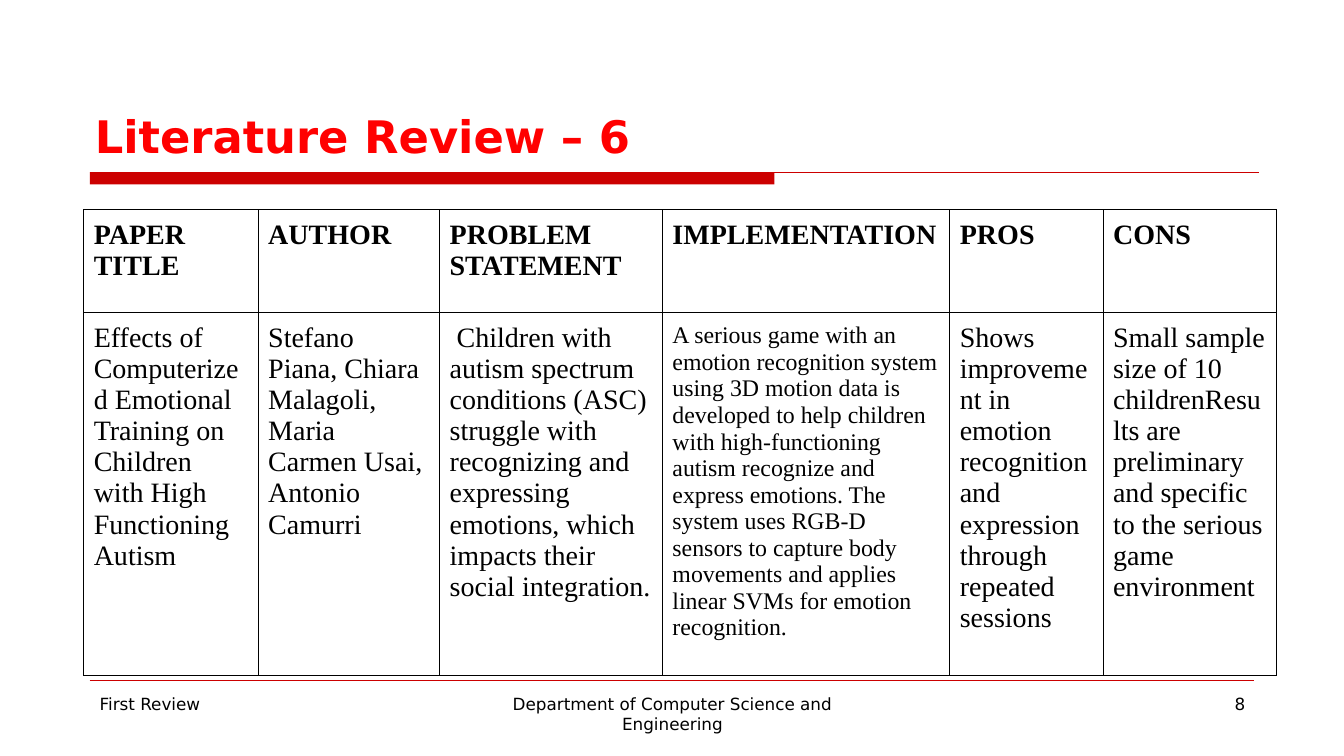
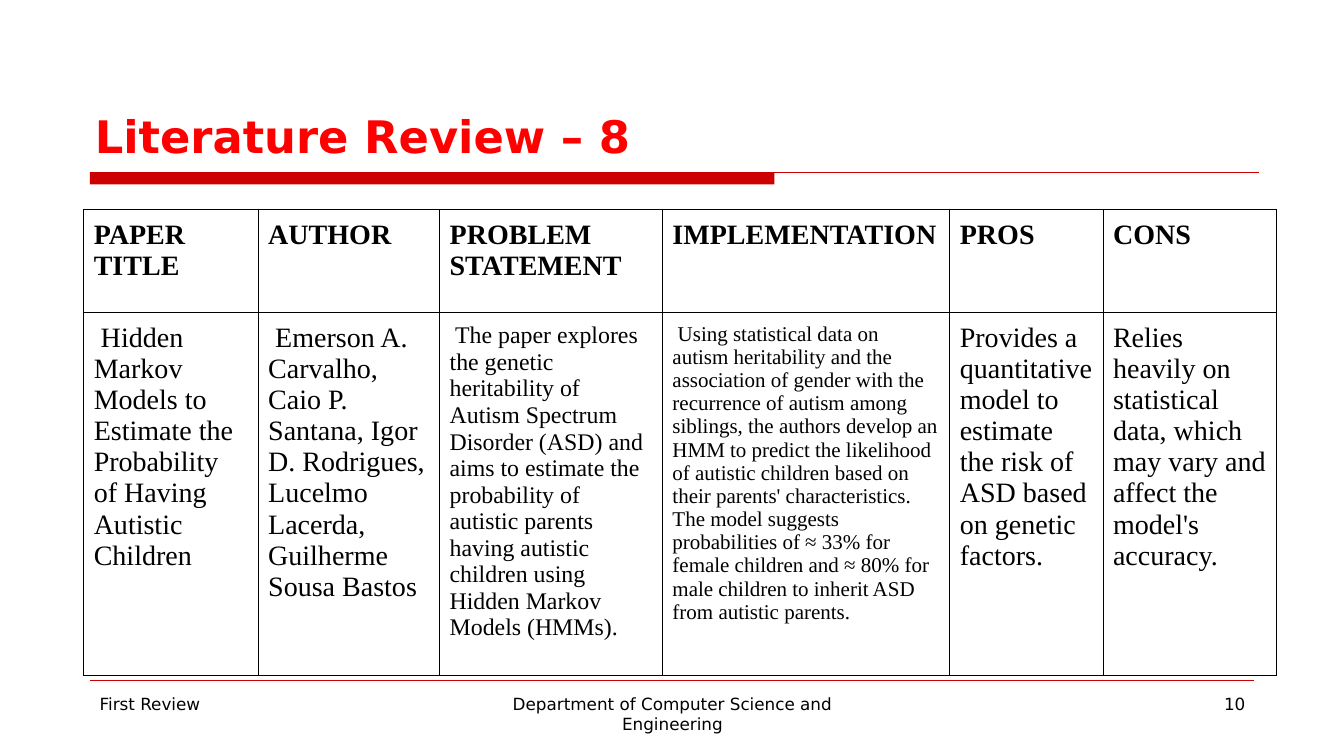
from lxml.etree import SubElement
from pptx import Presentation
from pptx.dml.color import RGBColor
from pptx.enum.shapes import MSO_CONNECTOR, MSO_SHAPE
from pptx.enum.text import MSO_ANCHOR, PP_ALIGN
from pptx.oxml import parse_xml
from pptx.oxml.ns import nsdecls, qn
from pptx.util import Inches, Pt

COLORS = {"title": "FF0000", "band": "CC0000", "text": "000000"}
TITLE_FMT = {"name": "DejaVu Sans", "size": Pt(32), "bold": True}
FOOTER_FMT = {"name": "DejaVu Sans", "size": Pt(12), "bold": False}
HEAD_FMT = {"name": "Times New Roman", "size": Pt(20), "bold": True}
BODY_FMT = {**HEAD_FMT, "bold": False}

MARGIN = 0.89
COL_WIDTHS = (1.73, 1.8, 2.21, 2.85, 1.52, 1.72)
ROW_HEIGHTS = (1.02, 3.48)
HEADERS = ("PAPER\nTITLE", "AUTHOR", "PROBLEM STATEMENT", "IMPLEMENTATION", "PROS", "CONS")
FOOTERS = (
    (MARGIN, 2.89, PP_ALIGN.LEFT),
    (4.56, 4.22, PP_ALIGN.CENTER),
    (9.56, 2.89, PP_ALIGN.RIGHT),
)

REVIEWS = (
    {
        "title": "Literature Review – 6",
        "page": "8",
        "cells": (
            ("Effects of Computerized Emotional Training on Children with High "
             "Functioning Autism", 20),
            ("Stefano Piana, Chiara Malagoli, Maria Carmen Usai, Antonio Camurri", 20),
            (" Children with autism spectrum conditions (ASC) struggle with recognizing "
             "and expressing emotions, which impacts their social integration.", 20),
            ("A serious game with an emotion recognition system using 3D motion data is "
             "developed to help children with high-functioning autism recognize and "
             "express emotions. The system uses RGB-D sensors to capture body movements "
             "and applies linear SVMs for emotion recognition.", 17),
            ("Shows improvement in emotion recognition and expression through repeated "
             "sessions", 20),
            ("Small sample size of 10 childrenResults are preliminary and specific to "
             "the serious game environment", 20),
        ),
    },
    {
        "title": "Literature Review – 8",
        "page": "10",
        "cells": (
            (" Hidden Markov Models to Estimate the Probability of Having Autistic "
             "Children", 20),
            (" Emerson A. Carvalho, Caio P. Santana, Igor D. Rodrigues, Lucelmo Lacerda, "
             "Guilherme Sousa Bastos", 20),
            (" The paper explores the genetic heritability of Autism Spectrum Disorder "
             "(ASD) and aims to estimate the probability of autistic parents having "
             "autistic children using Hidden Markov Models (HMMs).", 17),
            (" Using statistical data on autism heritability and the association of "
             "gender with the recurrence of autism among siblings, the authors develop "
             "an HMM to predict the likelihood of autistic children based on their "
             "parents' characteristics. The model suggests probabilities of ≈ 33% for "
             "female children and ≈ 80% for male children to inherit ASD from autistic "
             "parents.", 15),
            ("Provides a quantitative model to estimate the risk of ASD based on genetic "
             "factors.", 20),
            ("Relies heavily on statistical data, which may vary and affect the model's "
             "accuracy.", 20),
        ),
    },
)


def rgb(key):
    """Return the palette colour named key."""
    return RGBColor.from_string(COLORS[key])


def write(tf, text, fmt, color="text", align=PP_ALIGN.LEFT):
    """Put formatted text into the first paragraph of a text frame."""
    p = tf.paragraphs[0]
    p.text = text
    p.alignment = align
    for r in p.runs:
        for attr, value in fmt.items():
            setattr(r.font, attr, value)
        r.font.color.rgb = rgb(color)


def add_rule(s, y, right, width):
    """Draw a thin horizontal rule from the left margin."""
    cx = s.shapes.add_connector(
        MSO_CONNECTOR.STRAIGHT, Inches(MARGIN), Inches(y), Inches(right), Inches(y))
    cx.line.color.rgb = rgb("band")
    cx.line.width = Pt(width)
    SubElement(cx.element.spPr, qn("a:effectLst"))
    return cx


def add_band(s):
    """Draw the thick band below the title."""
    sp = s.shapes.add_shape(
        MSO_SHAPE.RECTANGLE, Inches(MARGIN), Inches(1.71), Inches(6.79), Inches(0.12))
    sp.shadow.inherit = False
    sp.fill.solid()
    sp.fill.fore_color.rgb = rgb("band")
    sp.line.fill.background()
    return sp


def style_layout(layout, s):
    """Place the title and move the shared decoration to the layout."""
    title = layout.placeholders[0]
    box = {"left": 0.84, "top": 0.33, "width": 11.67, "height": 1.33}
    for attr, value in box.items():
        setattr(title, attr, Inches(value))
    title.text_frame.vertical_anchor = MSO_ANCHOR.BOTTOM
    for sp in (add_band(s), add_rule(s, 1.71, 12.49, 0.75), add_rule(s, 6.75, 12.44, 0.25)):
        layout.shapes.element.append(sp.element)


def add_footers(s, page):
    """Add the three footer texts."""
    texts = ("First Review", "Department of Computer Science and Engineering", page)
    for text, (left, width, align) in zip(texts, FOOTERS):
        tb = s.shapes.add_textbox(Inches(left), Inches(6.83), Inches(width), Inches(0.52))
        tb.text_frame.word_wrap = True
        write(tb.text_frame, text, FOOTER_FMT, align=align)


def set_borders(cell, thick):
    """Outline a cell, with a heavier line on the side named thick."""
    tcPr = cell._tc.get_or_add_tcPr()
    for i, side in enumerate(("lnL", "lnR", "lnT", "lnB")):
        width = Pt(1.5 if side == thick else 0.75)
        tcPr.insert(i, parse_xml(
            f'<a:{side} {nsdecls("a")} w="{width}"><a:solidFill>'
            f'<a:srgbClr val="{COLORS["text"]}"/></a:solidFill></a:{side}>'))


def fill_cell(cell, text, fmt, thick):
    """Write and format one table cell."""
    for side in ("left", "right", "top", "bottom"):
        setattr(cell, f"margin_{side}", Inches(0.1))
    cell.fill.background()
    set_borders(cell, thick)
    write(cell.text_frame, text, fmt)


def add_review_table(s, cells):
    """Add the table with a header row and one reviewed paper."""
    tbl = s.shapes.add_table(
        len(ROW_HEIGHTS), len(COL_WIDTHS), Inches(0.83), Inches(2.08),
        Inches(sum(COL_WIDTHS)), Inches(sum(ROW_HEIGHTS))).table
    tbl.first_row = tbl.horz_banding = False
    for row, height in zip(tbl.rows, ROW_HEIGHTS):
        row.height = Inches(height)
    for i, (width, header, (text, size)) in enumerate(zip(COL_WIDTHS, HEADERS, cells)):
        tbl.columns[i].width = Inches(width)
        fill_cell(tbl.cell(0, i), header, HEAD_FMT, "lnB")
        fill_cell(tbl.cell(1, i), text, {**BODY_FMT, "size": Pt(size)}, "lnT")


def main():
    """Build and save the presentation."""
    prs = Presentation()
    prs.slide_width, prs.slide_height = Inches(13.33), Inches(7.5)
    layout = prs.slide_layouts[5]
    for i, review in enumerate(REVIEWS):
        s = prs.slides.add_slide(layout)
        if i == 0:
            style_layout(layout, s)
        write(s.shapes.title.text_frame, review["title"], TITLE_FMT, "title")
        add_footers(s, review["page"])
        add_review_table(s, review["cells"])
    prs.save("out.pptx")


if __name__ == "__main__":
    main()
